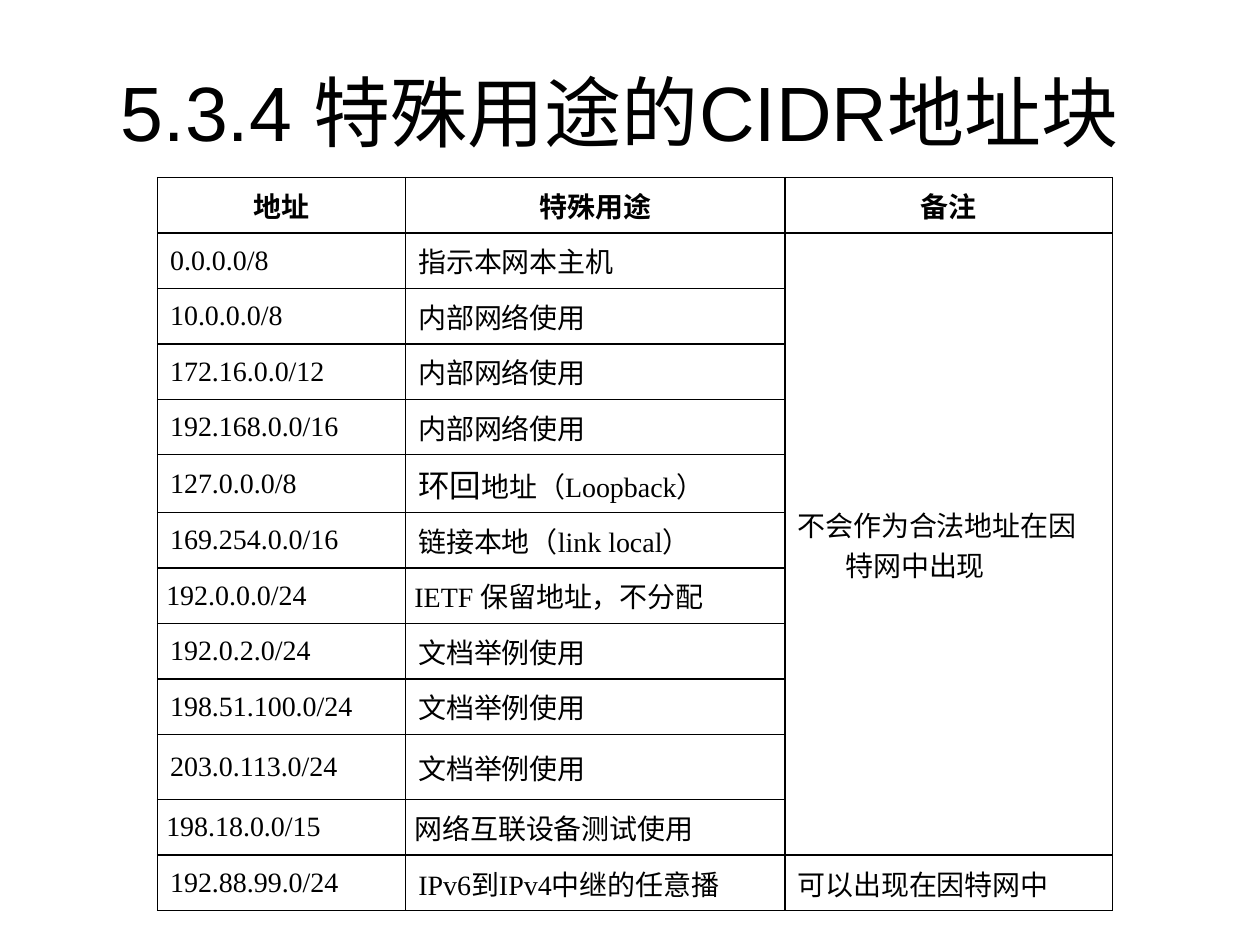
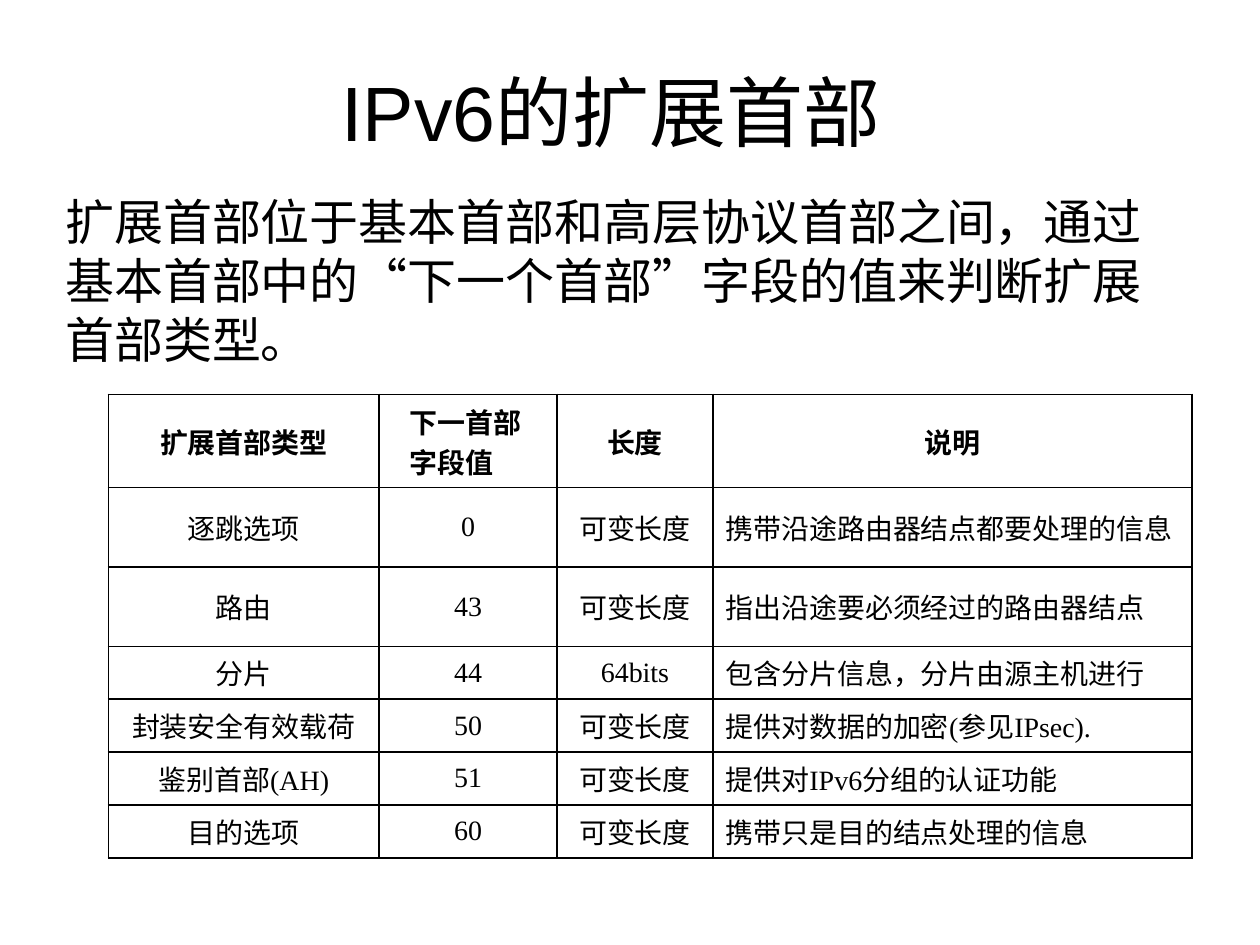
"""Build two slides on special CIDR blocks and IPv6 extension headers."""
from dataclasses import dataclass

import lxml.etree
import pptx
import pptx.dml.color
import pptx.enum.text
import pptx.oxml.ns
import pptx.util

Inches = pptx.util.Inches
ALIGN = pptx.enum.text.PP_ALIGN
ANCHOR = pptx.enum.text.MSO_ANCHOR
INK = "000000"
SANS, SERIF, CHINESE = "Arial", "Times New Roman", "Noto Sans CJK SC"
HANG = 0.38


@dataclass
class Span:
    """A stretch of text in one style."""
    text: str
    size: int = 16
    font: str = SERIF
    bold: bool = False


@dataclass
class Entry:
    """The content of one table cell, as paragraphs of spans."""
    paras: list[list[Span]]
    centred: bool = False
    first_line: float = -HANG
    tight: bool = False


@dataclass
class Grid:
    """A ruled table with its place and sizes in inches."""
    left: float
    top: float
    widths: list[float]
    heights: list[float]
    rows: list[list[Entry]]


def colour(value: str) -> pptx.dml.color.RGBColor:
    """Turn a hex string into a colour."""
    return pptx.dml.color.RGBColor.from_string(value)


def add_child(parent, tag: str, **attributes: str):
    """Append a DrawingML element to its parent."""
    return lxml.etree.SubElement(parent, pptx.oxml.ns.qn(tag), **attributes)


def add_span(para, span: Span) -> None:
    """Add one styled run to a paragraph."""
    run = para.add_run()
    run.text = span.text
    run.font.size = pptx.util.Pt(span.size)
    run.font.bold = span.bold
    run.font.name = span.font
    run.font.color.rgb = colour(INK)
    add_child(run.font._element, "a:ea", typeface=CHINESE)


def add_text(page, place: tuple[float, ...], span: Span, **style) -> None:
    """Add a wrapped text box with one paragraph."""
    frame = page.shapes.add_textbox(*map(Inches, place)).text_frame
    frame.word_wrap = True
    frame.vertical_anchor = style.get("anchor", ANCHOR.TOP)
    para = frame.paragraphs[0]
    para.alignment = style.get("align", ALIGN.LEFT)
    add_span(para, span)


def add_title(page, text: str) -> None:
    """Add the slide title."""
    add_text(page, (0.42, 0.25, 9, 1.25), Span(text, 44, SANS),
             anchor=ANCHOR.MIDDLE, align=ALIGN.CENTER)


def rule_cell(cell) -> None:
    """Clear the fill of a cell and rule its four sides."""
    cell.fill.background()
    properties = cell._tc.get_or_add_tcPr()
    for index, side in enumerate(("a:lnL", "a:lnR", "a:lnT", "a:lnB")):
        line = add_child(properties, side, w=str(pptx.util.Pt(1)))
        add_child(add_child(line, "a:solidFill"), "a:srgbClr", val=INK)
        properties.insert(index, line)


def fill_cell(cell, entry: Entry) -> None:
    """Write an entry into a cell."""
    cell.vertical_anchor = ANCHOR.MIDDLE
    if entry.tight:
        cell.margin_left = cell.margin_right = Inches(0.07)
        cell.margin_top = cell.margin_bottom = 0
    frame = cell.text_frame
    for index, spans in enumerate(entry.paras):
        para = frame.add_paragraph() if index else frame.paragraphs[0]
        para.alignment = ALIGN.CENTER if entry.centred else ALIGN.LEFT
        properties = para._p.get_or_add_pPr()
        properties.set("marL", str(Inches(HANG)))
        properties.set("indent", str(Inches(entry.first_line)))
        for span in spans:
            add_span(para, span)


def add_grid(page, grid: Grid):
    """Draw a grid and return its table."""
    frame = page.shapes.add_table(
        len(grid.heights), len(grid.widths), Inches(grid.left), Inches(grid.top),
        Inches(sum(grid.widths)), Inches(sum(grid.heights)))
    table = frame.table
    table.first_row = table.horz_banding = False
    for column, width in zip(table.columns, grid.widths):
        column.width = Inches(width)
    for row, height in zip(table.rows, grid.heights):
        row.height = Inches(height)
    for cell in table.iter_cells():
        rule_cell(cell)
    for row, entries in zip(table.rows, grid.rows):
        for cell, entry in zip(row.cells, entries):
            fill_cell(cell, entry)
    return table


def plain(text: str, centred: bool = False, tight: bool = False) -> Entry:
    """Make a body entry of one span."""
    return Entry([[Span(text)]], centred, tight=tight)


def heading(text: str, font: str) -> Entry:
    """Make a centred bold heading entry."""
    return Entry([[Span(text, font=font, bold=True)]], True)


def build_blocks(page) -> None:
    """Build the slide of special CIDR blocks."""
    add_title(page, "5.3.4 特殊用途的CIDR地址块")
    blocks = [
        ("0.0.0.0/8", "指示本网本主机"),
        ("10.0.0.0/8", "内部网络使用"),
        ("172.16.0.0/12", "内部网络使用"),
        ("192.168.0.0/16", "内部网络使用"),
        ("127.0.0.0/8", "地址（Loopback）"),
        ("169.254.0.0/16", "链接本地（link local）"),
        ("192.0.0.0/24", "IETF 保留地址，不分配"),
        ("192.0.2.0/24", "文档举例使用"),
        ("198.51.100.0/24", "文档举例使用"),
        ("203.0.113.0/24", "文档举例使用"),
        ("198.18.0.0/15", "网络互联设备测试使用"),
        ("192.88.99.0/24", "IPv6到IPv4中继的任意播"),
    ]
    tight_blocks = {"192.0.0.0/24", "198.18.0.0/15"}
    rows = [[heading(text, SERIF) for text in ("地址", "特殊用途", "备注")]]
    for block in blocks:
        rows.append([plain(text, tight=block[0] in tight_blocks) for text in block])
    rows[5][1].paras[0].insert(0, Span("环回", 18, SANS))
    rows[1].append(plain("不会作为合法地址在因特网中出现"))
    rows[-1].append(plain("可以出现在因特网中"))
    heights = [0.44] * 5 + [0.46] + [0.44] * 4 + [0.52] + [0.44] * 2
    table = add_grid(page, Grid(1.25, 1.41, [1.97, 3.01, 2.6], heights, rows))
    table.cell(1, 2).merge(table.cell(11, 2))


def build_headers(page) -> None:
    """Build the slide of IPv6 extension headers."""
    add_title(page, "IPv6的扩展首部 ")
    add_text(page, (0.42, 1.47, 9.07, 1.42), Span(
        "扩展首部位于基本首部和高层协议首部之间，通过基本首部中的“下一个首部”"
        "字段的值来判断扩展首部类型。", 28, SANS))
    variable = "可变长度"
    headers = [
        ("逐跳选项", "0", variable, "携带沿途路由器结点都要处理的信息"),
        ("路由", "43", variable, "指出沿途要必须经过的路由器结点"),
        ("分片", "44", "64bits", "包含分片信息，分片由源主机进行"),
        ("封装安全有效载荷", "50", variable, "提供对数据的加密(参见IPsec)."),
        ("鉴别首部(AH)", "51", variable, "提供对IPv6分组的认证功能"),
        ("目的选项", "60", variable, "携带只是目的结点处理的信息"),
    ]
    next_header = Entry([[Span(text, font=CHINESE, bold=True)]
                         for text in ("下一首部", "字段值")], first_line=-0.24)
    top_row = [heading(text, CHINESE) for text in ("扩展首部类型", "长度", "说明")]
    top_row.insert(1, next_header)
    rows = [top_row]
    for *facts, meaning in headers:
        rows.append([plain(fact, centred=True) for fact in facts] + [plain(meaning)])
    heights = [0.74] + [0.63] * 2 + [0.42] * 4
    add_grid(page, Grid(0.86, 3.13, [2.15, 1.41, 1.24, 3.8], heights, rows))


def main() -> None:
    """Build and save the deck."""
    deck = pptx.Presentation()
    deck.slide_width, deck.slide_height = Inches(10), Inches(7.5)
    for build in (build_blocks, build_headers):
        build(deck.slides.add_slide(deck.slide_layouts[6]))
    deck.save("out.pptx")


if __name__ == "__main__":
    main()
